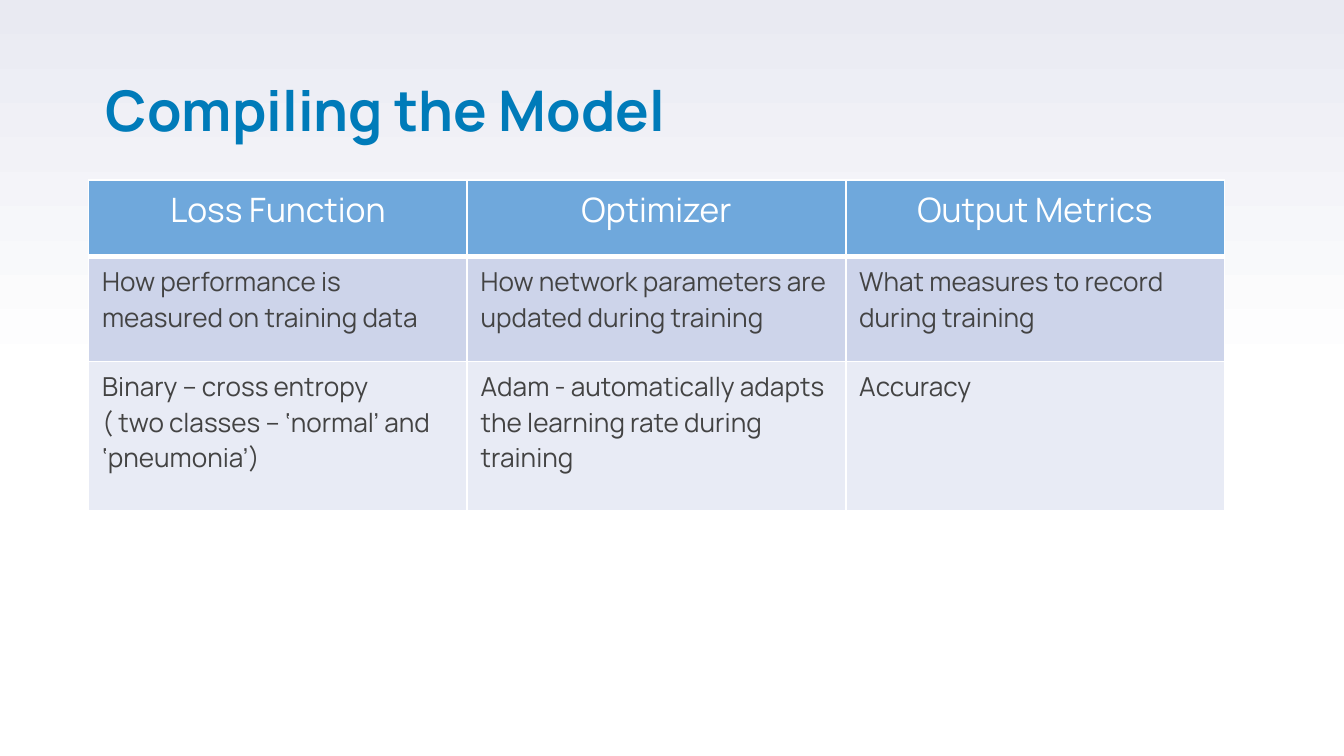
from dataclasses import dataclass

import lxml.etree
import pptx
import pptx.dml.color
import pptx.enum.text
import pptx.oxml.ns
import pptx.slide
import pptx.table
import pptx.text.text
import pptx.util
from pptx.util import Inches

FONT = "Manrope"
COLORS = {
    "title": "007BB9",
    "white": "FFFFFF",
    "backdrop": "E9EAF2",
    "header": "6FA8DC",
    "body_text": "434343",
    "description": "CDD4EA",
    "choice": "E8EBF5",
}
TABLE_WIDTH = 8.45
ALIGN = pptx.enum.text.PP_ALIGN


@dataclass
class TableRow:
    height: float
    fill: str
    text_color: str
    size: int
    alignment: ALIGN
    top_border: int
    bottom_border: int
    texts: tuple[str, ...]


ROWS = (
    TableRow(0.57, "header", "white", 18, ALIGN.CENTER, 1, 3,
             ("Loss Function", "Optimizer", "Output Metrics")),
    TableRow(0.78, "description", "body_text", 14, ALIGN.LEFT, 3, 1,
             ("How performance is measured on training data",
              "How network parameters are updated during training",
              "What measures to record during training")),
    TableRow(1.11, "choice", "body_text", 14, ALIGN.LEFT, 1, 1,
             ("Binary – cross entropy\n( two classes – ‘normal’ and ‘pneumonia’)",
              "Adam - automatically adapts the learning rate during training",
              "Accuracy")),
)


def rgb(name: str) -> pptx.dml.color.RGBColor:
    return pptx.dml.color.RGBColor.from_string(COLORS[name])


def set_font(paragraph: pptx.text.text._Paragraph, size: int, color: str,
             bold: bool = False) -> None:
    font = paragraph.font
    font.name = FONT
    font.size = pptx.util.Pt(size)
    font.bold = bold
    font.color.rgb = rgb(color)


def set_background(slide: pptx.slide.Slide) -> None:
    """Fade upwards from white, starting at mid-height."""
    fill = slide.background.fill
    fill.gradient()
    fill.gradient_angle = 90
    for stop, position, color in zip(fill.gradient_stops, (0.5, 1), ("white", "backdrop")):
        stop.position = position
        stop.color.rgb = rgb(color)


def add_title(slide: pptx.slide.Slide, text: str) -> None:
    box = slide.shapes.add_textbox(Inches(0.69), Inches(0.3), Inches(8.62), Inches(1.09))
    frame = box.text_frame
    frame.word_wrap = True
    frame.vertical_anchor = pptx.enum.text.MSO_ANCHOR.MIDDLE
    paragraph = frame.paragraphs[0]
    paragraph.text = text
    paragraph.line_spacing = 0.9
    set_font(paragraph, 30, "title", bold=True)


def set_borders(cell: pptx.table._Cell, top: int, bottom: int) -> None:
    """Draw white borders; must run before the cell gets its fill."""
    qn = pptx.oxml.ns.qn
    properties = cell._tc.get_or_add_tcPr()
    for side, width in (("L", 1), ("R", 1), ("T", top), ("B", bottom)):
        line = lxml.etree.SubElement(properties, qn(f"a:ln{side}"), w=str(pptx.util.Pt(width)))
        fill = lxml.etree.SubElement(line, qn("a:solidFill"))
        lxml.etree.SubElement(fill, qn("a:srgbClr"), val=COLORS["white"])


def fill_cell(cell: pptx.table._Cell, text: str, row: TableRow) -> None:
    set_borders(cell, row.top_border, row.bottom_border)
    cell.fill.solid()
    cell.fill.fore_color.rgb = rgb(row.fill)
    cell.text_frame.text = text
    for paragraph in cell.text_frame.paragraphs:
        paragraph.alignment = row.alignment
        set_font(paragraph, row.size, row.text_color)


def add_model_table(slide: pptx.slide.Slide) -> None:
    column_count = len(ROWS[0].texts)
    table = slide.shapes.add_table(
        len(ROWS), column_count, Inches(0.66), Inches(1.34),
        Inches(TABLE_WIDTH), Inches(sum(row.height for row in ROWS)),
    ).table
    for column in table.columns:
        column.width = Inches(TABLE_WIDTH / column_count)
    for row_index, row in enumerate(ROWS):
        table.rows[row_index].height = Inches(row.height)
        for column_index, text in enumerate(row.texts):
            fill_cell(table.cell(row_index, column_index), text, row)


def main() -> None:
    presentation = pptx.Presentation()
    presentation.slide_width = Inches(10)
    presentation.slide_height = Inches(10 * 9 / 16)
    slide = presentation.slides.add_slide(presentation.slide_layouts[6])
    set_background(slide)
    add_title(slide, "Compiling the Model")
    add_model_table(slide)
    presentation.save("out.pptx")


if __name__ == "__main__":
    main()
